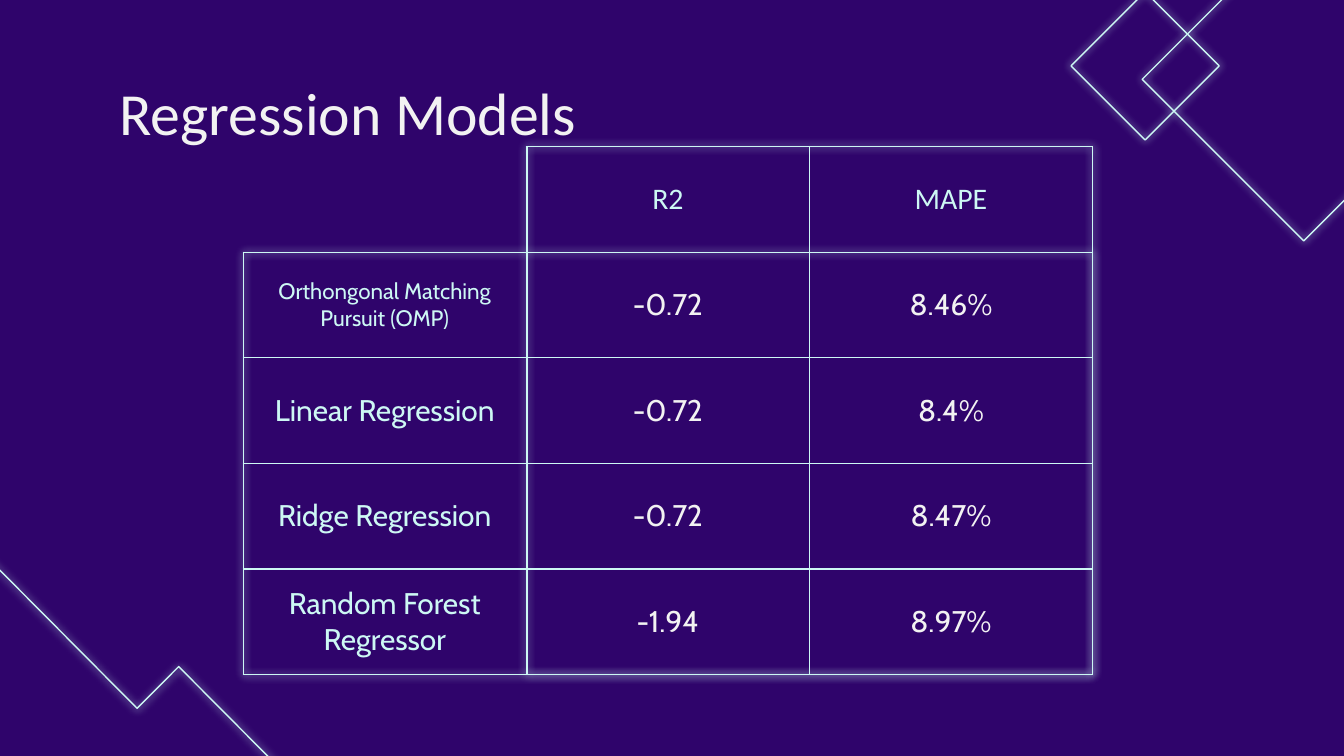
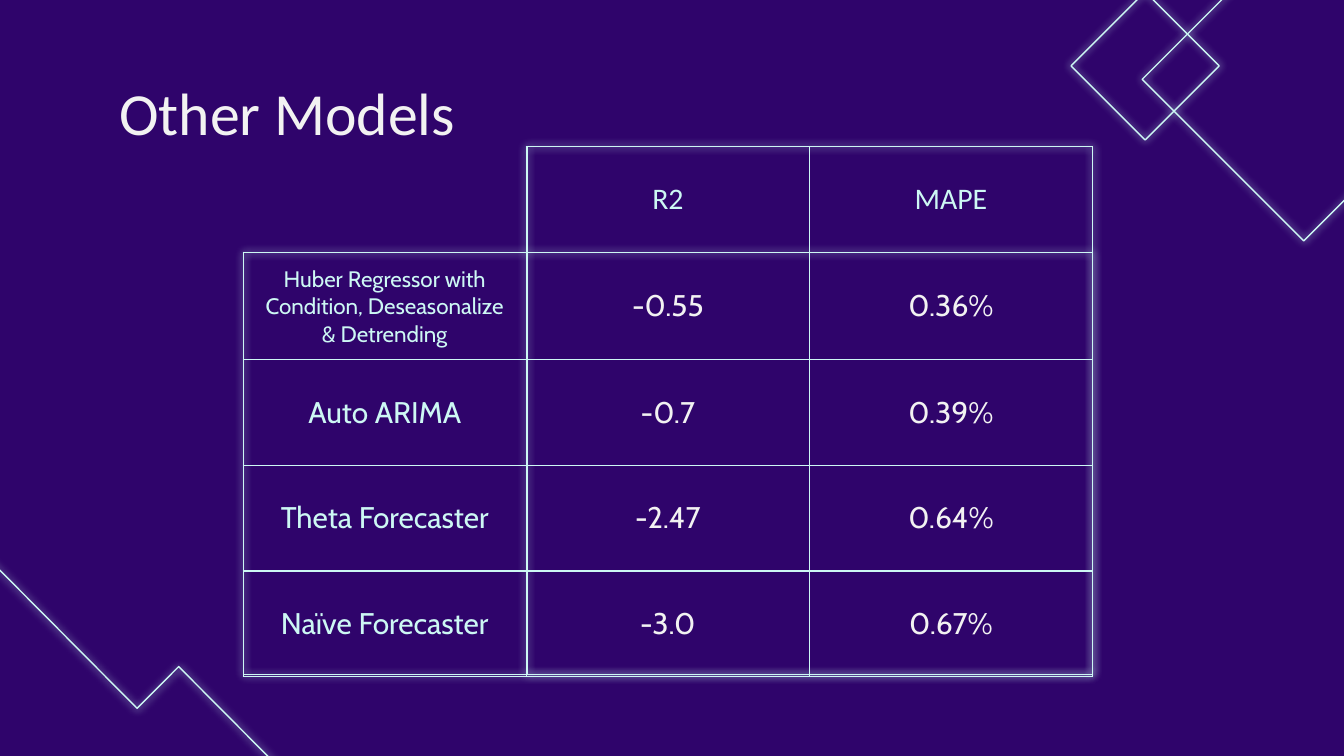
"""Build two slides that compare forecasting models by R2 and MAPE."""
from lxml.etree import SubElement
from pptx import Presentation
from pptx.dml.color import RGBColor
from pptx.enum.shapes import MSO_SHAPE
from pptx.enum.text import MSO_ANCHOR, PP_ALIGN
from pptx.oxml.ns import qn
from pptx.util import Inches, Pt

COLORS = {"background": "2F046B", "neon": "CDF8F4", "text": "F2F2F2"}
HEADING_FONT, BODY_FONT = "Calibri", "Cabin"
HEADERS = ("", "R2", "MAPE")
SLIDES = [
    ("Regression Models", [
        ("Orthongonal Matching Pursuit (OMP)", "-0.72", "8.46%"),
        ("Linear Regression", "-0.72", "8.4%"),
        ("Ridge Regression", "-0.72", "8.47%"),
        ("Random Forest Regressor", "-1.94", "8.97%"),
    ]),
    ("Other Models", [
        ("Huber Regressor with Condition, Deseasonalize & Detrending", "-0.55", "0.36%"),
        ("Auto ARIMA", "-0.7", "0.39%"),
        ("Theta Forecaster", "-2.47", "0.64%"),
        ("Naïve Forecaster", "-3.0", "0.67%"),
    ]),
]
LONG_NAME = 30
DIAMONDS = [(8.85, -0.26, 1.7, 1.7), (8.13, 0.1, 0.78, 0.78)]
ZIGZAG = [(-0.57, 3.67), (1.02, 5.27), (1.33, 4.96), (3.08, 6.72)]
TABLE_BOX = (1.81, 1.09, 6.32, 3.93)
TABLE_FRAMES = [(3.92, 1.09, 4.21, 3.93), (1.81, 1.88, 6.32, 3.14)]
TITLE_BOX = (0.79, 0.2, 8.43, 0.63)


def rgb(name):
    return RGBColor.from_string(COLORS[name])


def inches(values):
    return [Inches(value) for value in values]


def style_font(paragraph, face, size, color):
    paragraph.font.name = face
    paragraph.font.size = Pt(size)
    paragraph.font.color.rgb = rgb(color)


def add_color(parent, name):
    SubElement(parent, qn("a:srgbClr"), val=COLORS[name])


def make_neon(shape):
    shape.fill.background()
    shape.line.color.rgb = rgb("neon")
    shape.line.width = Pt(0.75)
    shape.shadow.inherit = False
    effects = shape._element.spPr.find(qn("a:effectLst"))
    glow = SubElement(effects, qn("a:outerShdw"), blurRad=str(Pt(4.5)),
                      dist="0", dir="0", algn="bl", rotWithShape="0")
    add_color(glow, "neon")


def add_neon_rect(slide, box, rotation=0):
    rect = slide.shapes.add_shape(MSO_SHAPE.RECTANGLE, *inches(box))
    rect.rotation = rotation
    make_neon(rect)


def add_backdrop(slide):
    slide.background.fill.solid()
    slide.background.fill.fore_color.rgb = rgb("background")
    for box in DIAMONDS:
        add_neon_rect(slide, box, rotation=135)
    start, *turns = [inches(point) for point in ZIGZAG]
    zigzag = slide.shapes.build_freeform(*start)
    zigzag.add_line_segments(turns, close=False)
    make_neon(zigzag.convert_to_shape())


def set_borders(cell, visible):
    properties = cell._tc.get_or_add_tcPr()
    for side in "LRTB":
        border = SubElement(properties, qn(f"a:ln{side}"), w=str(Pt(0.75)))
        if side in visible:
            add_color(SubElement(border, qn("a:solidFill")), "neon")
        else:
            SubElement(border, qn("a:noFill"))


def fill_cell(cell, text, row, column):
    is_corner = row == 0 and column == 0
    set_borders(cell, "RB" if is_corner else "LRTB")
    cell.fill.background()
    if is_corner:
        return
    cell.vertical_anchor = MSO_ANCHOR.MIDDLE
    cell.margin_left = cell.margin_right = Inches(0.1)
    cell.margin_top = cell.margin_bottom = Inches(0.1)
    cell.text = text
    paragraph = cell.text_frame.paragraphs[0]
    paragraph.alignment = PP_ALIGN.CENTER
    style_font(paragraph,
               HEADING_FONT if row == 0 else BODY_FONT,
               12 if len(text) > LONG_NAME else 16,
               "neon" if row == 0 or column == 0 else "text")


def add_scores(slide, models):
    rows = [HEADERS, *models]
    scores = slide.shapes.add_table(len(rows), len(HEADERS), *inches(TABLE_BOX)).table
    scores.first_row = scores.horz_banding = False
    for r, row in enumerate(rows):
        for c, text in enumerate(row):
            fill_cell(scores.cell(r, c), text, r, c)
    for box in TABLE_FRAMES:
        add_neon_rect(slide, box)


def add_title(slide, title):
    frame = slide.shapes.add_textbox(*inches(TITLE_BOX)).text_frame
    frame.word_wrap = True
    frame.margin_left = frame.margin_right = Inches(0.1)
    frame.margin_top = frame.margin_bottom = Inches(0.1)
    frame.text = title
    paragraph = frame.paragraphs[0]
    paragraph.line_spacing = 1.5
    style_font(paragraph, HEADING_FONT, 32, "text")


def main():
    deck = Presentation()
    deck.slide_width = Inches(10)
    deck.slide_height = deck.slide_width * 9 // 16
    for title, models in SLIDES:
        slide = deck.slides.add_slide(deck.slide_layouts[6])
        add_backdrop(slide)
        add_scores(slide, models)
        add_title(slide, title)
    deck.save("out.pptx")


if __name__ == "__main__":
    main()
